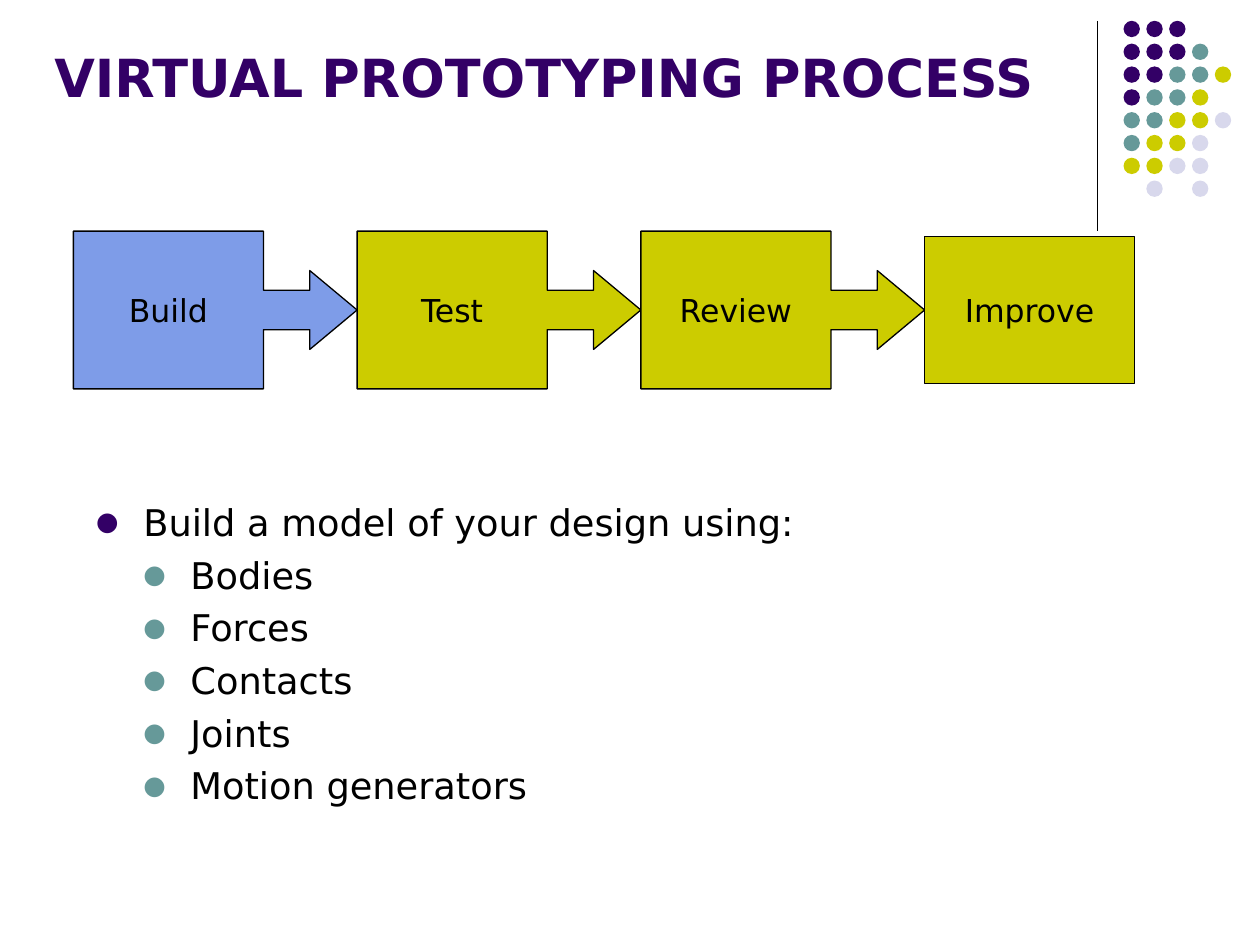
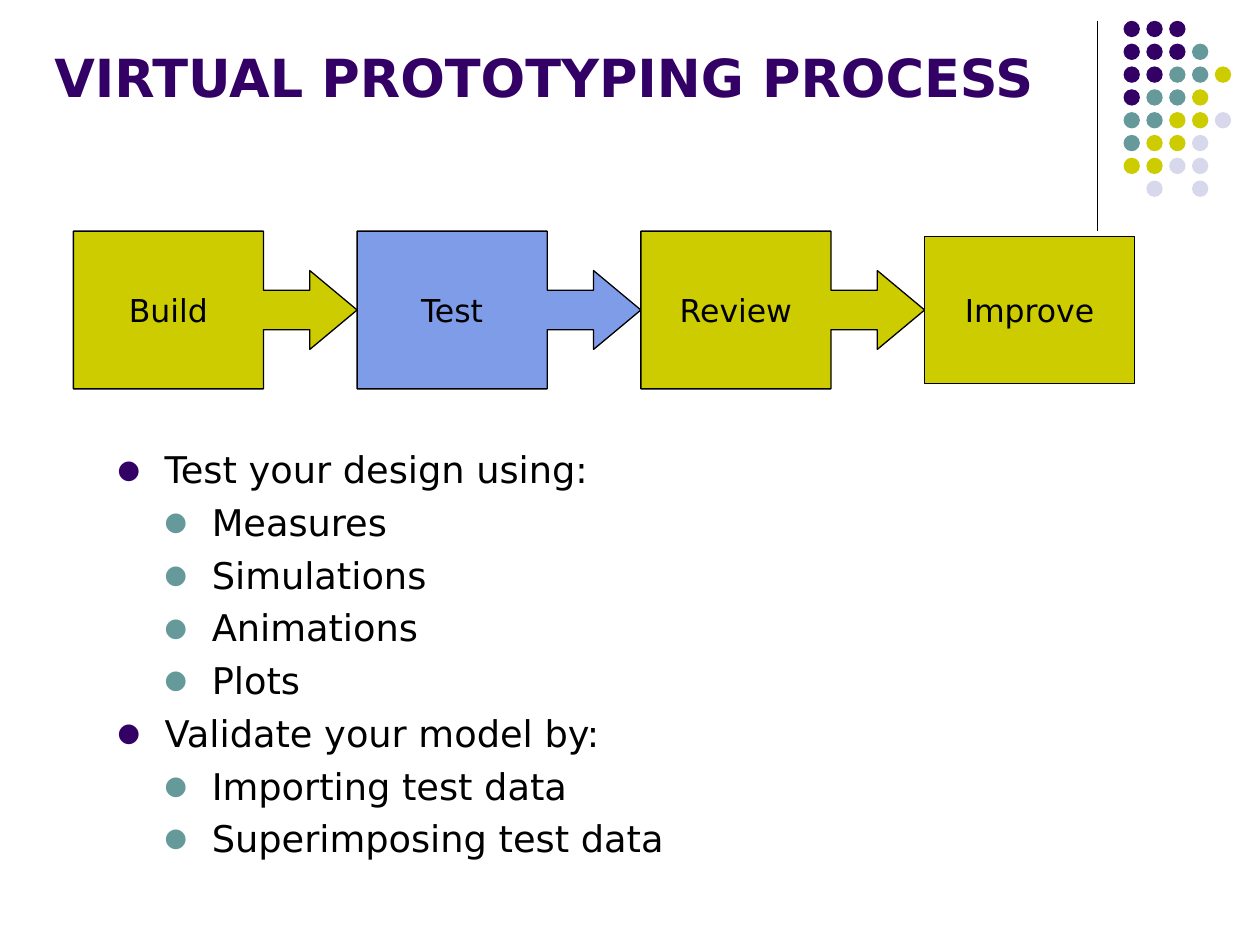
from dataclasses import dataclass

import pptx
import pptx.dml.color
import pptx.enum.shapes
import pptx.enum.text
import pptx.oxml
import pptx.oxml.ns
import pptx.util

Cm = pptx.util.Cm
Pt = pptx.util.Pt
Shape = pptx.enum.shapes.MSO_SHAPE
Anchor = pptx.enum.text.MSO_ANCHOR
Align = pptx.enum.text.PP_ALIGN


@dataclass(frozen=True)
class Theme:
    font: str = "DejaVu Sans"
    ink: str = "000000"
    purple: str = "330066"
    teal: str = "669999"
    olive: str = "CCCC00"
    mist: str = "D8D8EC"
    active: str = "7E9CE8"
    title_size: int = 30
    body_size: int = 21
    step_size: int = 18
    line_width: float = 0.75
    body_gap: float = 4.9
    bullet_percent: int = 70


THEME = Theme()
TITLE = "VIRTUAL PROTOTYPING PROCESS"
STEPS = ["Build", "Test", "Review", "Improve"]

# One letter per dot: purple, teal, olive, mist; a point leaves a gap
DOT_ROWS = ["PPP", "PPPT", "PPTTO", "PTTO", "TTOOM", "TOOM", "OOMM", ".M.M"]
DOT_COLORS = {"P": THEME.purple, "T": THEME.teal, "O": THEME.olive, "M": THEME.mist}
DOT_LEFT, DOT_TOP, DOT_PITCH, DOT_SIZE = 22.65, 0.42, 0.46, 0.33

# Each page: the active step, the body box and the (level, text) bullets
PAGES = [
    ("Build", (1.69, 9.95, 22, 8.47), [
        (0, "Build a model of your design using:"),
        (1, "Bodies"),
        (1, "Forces"),
        (1, "Contacts"),
        (1, "Joints"),
        (1, "Motion generators"),
    ]),
    ("Test", (2.12, 8.89, 21.8, 8.89), [
        (0, "Test your design using:"),
        (1, "Measures"),
        (1, "Simulations"),
        (1, "Animations"),
        (1, "Plots"),
        (0, "Validate your model by:"),
        (1, "Importing test data"),
        (1, "Superimposing test data"),
    ]),
]


def rgb(value):
    return pptx.dml.color.RGBColor.from_string(value)


def write(para, text, *, size, color=THEME.ink, bold=False, align=Align.LEFT):
    """Add one formatted span of text to a paragraph."""
    para.alignment = align
    span = para.add_run()
    span.text = text
    span.font.name = THEME.font
    span.font.size = Pt(size)
    span.font.bold = bold
    span.font.color.rgb = rgb(color)


def add_bullet(para, level, color, indent=0.95):
    """Give a paragraph a hanging round bullet."""
    para.level = level
    properties = para._p.get_or_add_pPr()
    properties.set("marL", str(Cm(indent * (level + 1))))
    properties.set("indent", str(-Cm(indent)))
    namespace = pptx.oxml.ns.nsdecls("a")
    for markup in (
        f'<a:buClr {namespace}><a:srgbClr val="{color}"/></a:buClr>',
        f'<a:buSzPct {namespace} val="{THEME.bullet_percent * 1000}"/>',
        f'<a:buFont {namespace} typeface="{THEME.font}"/>',
        f'<a:buChar {namespace} char="●"/>',
    ):
        properties.append(pptx.oxml.parse_xml(markup))


class Builder:
    """Holds the deck, its theme and the current page."""

    def __init__(self, theme):
        self.theme = theme
        self.deck = pptx.Presentation()
        self.deck.slide_width, self.deck.slide_height = Cm(25.4), Cm(19.05)
        self.page = None

    def new_page(self, title):
        self.page = self.deck.slides.add_slide(self.deck.slide_layouts[5])
        self.rule(22.12, 0.42, 4.65)
        self.dots()
        self.title(title)

    def title(self, text):
        box = self.page.shapes.title
        box.left, box.top, box.width, box.height = map(Cm, (0.84, 0.42, 20.96, 2.23))
        box.text_frame.vertical_anchor = Anchor.MIDDLE
        write(box.text_frame.paragraphs[0], text, size=self.theme.title_size,
              color=self.theme.purple, bold=True)

    def rule(self, x, top, bottom):
        line = self.page.shapes.add_connector(
            pptx.enum.shapes.MSO_CONNECTOR.STRAIGHT, Cm(x), Cm(top), Cm(x), Cm(bottom))
        line.line.color.rgb = rgb(self.theme.ink)
        line.line.width = Pt(self.theme.line_width)
        line._element.spPr.append(pptx.oxml.parse_xml(
            f'<a:effectLst {pptx.oxml.ns.nsdecls("a")}/>'))

    def shape(self, kind, place, fill, outlined=True, parent=None):
        box = (parent or self.page).shapes.add_shape(kind, *map(Cm, place))
        box.shadow.inherit = False
        box.fill.solid()
        box.fill.fore_color.rgb = rgb(fill)
        if outlined:
            box.line.color.rgb = rgb(self.theme.ink)
            box.line.width = Pt(self.theme.line_width)
        else:
            box.line.fill.background()
        return box

    def dots(self):
        group = self.page.shapes.add_group_shape()
        for row, letters in enumerate(DOT_ROWS):
            for column, letter in enumerate(letters):
                if letter in DOT_COLORS:
                    place = (DOT_LEFT + column * DOT_PITCH, DOT_TOP + row * DOT_PITCH,
                             DOT_SIZE, DOT_SIZE)
                    self.shape(Shape.OVAL, place, DOT_COLORS[letter],
                               outlined=False, parent=group)

    def process(self, active, left=1.48, middle=6.25, pitch=5.72):
        for index, step in enumerate(STEPS):
            last = index == len(STEPS) - 1
            kind = Shape.RECTANGLE if last else Shape.RIGHT_ARROW_CALLOUT
            width, height = (4.23, 2.96) if last else (pitch, 3.18)
            fill = self.theme.active if step == active else self.theme.olive
            box = self.shape(
                kind, (left + index * pitch, middle - height / 2, width, height), fill)
            if not last:
                for number, value in enumerate((0.25, 0.25, 0.3, 0.67)):
                    box.adjustments[number] = value
            frame = box.text_frame
            frame.word_wrap = False
            frame.vertical_anchor = Anchor.MIDDLE
            write(frame.paragraphs[0], step, size=self.theme.step_size,
                  align=Align.CENTER)

    def bullets(self, place, items):
        frame = self.page.shapes.add_textbox(*map(Cm, place)).text_frame
        frame.word_wrap = True
        for index, (level, text) in enumerate(items):
            para = frame.add_paragraph() if index else frame.paragraphs[0]
            para.space_before = Pt(self.theme.body_gap)
            write(para, text, size=self.theme.body_size)
            add_bullet(para, level, self.theme.teal if level else self.theme.purple)


def main():
    builder = Builder(THEME)
    for active, place, items in PAGES:
        builder.new_page(TITLE)
        builder.process(active)
        builder.bullets(place, items)
    builder.deck.save("out.pptx")


if __name__ == "__main__":
    main()
